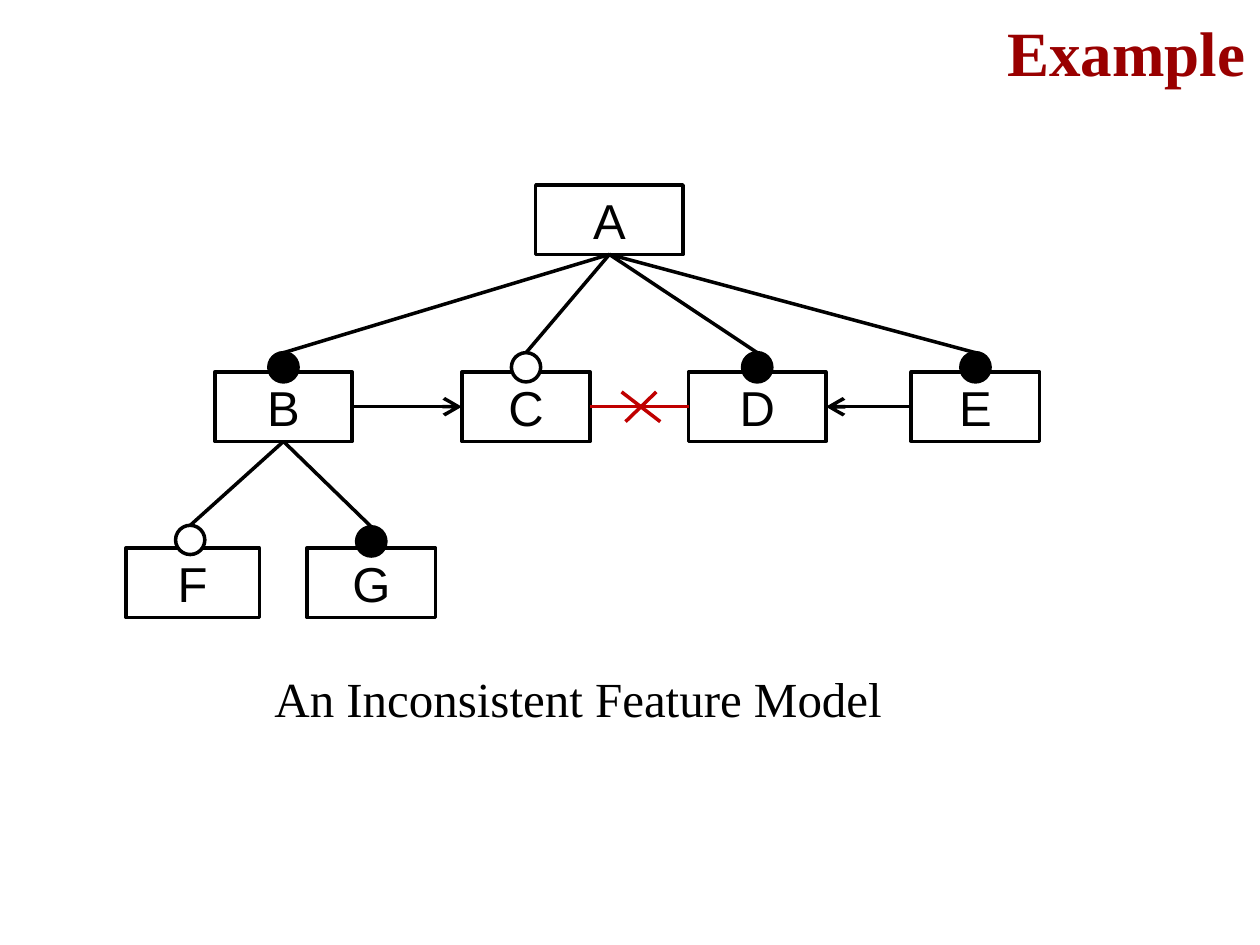
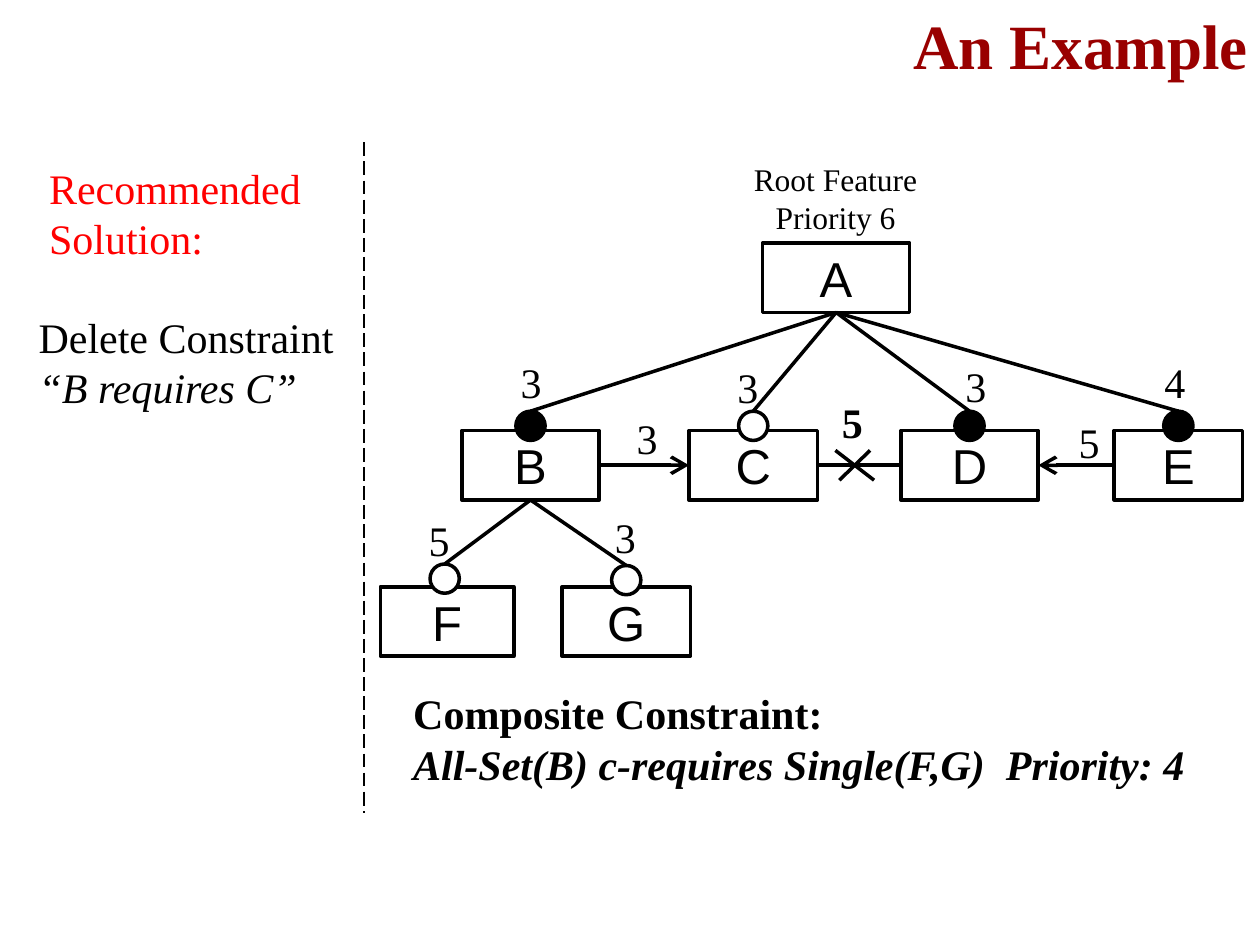
from dataclasses import dataclass

from lxml import etree
from pptx import Presentation
from pptx.dml.color import RGBColor
from pptx.enum.dml import MSO_LINE
from pptx.enum.shapes import MSO_CONNECTOR, MSO_SHAPE
from pptx.enum.text import MSO_ANCHOR, PP_ALIGN
from pptx.oxml.ns import qn
from pptx.util import Cm, Pt

RECT = MSO_SHAPE.RECTANGLE
OVAL = MSO_SHAPE.OVAL
LINE = MSO_CONNECTOR.STRAIGHT
DASH = MSO_LINE.LONG_DASH
LEFT, MID, RIGHT = PP_ALIGN.LEFT, PP_ALIGN.CENTER, PP_ALIGN.RIGHT
TOP, CENTER, BASE = MSO_ANCHOR.TOP, MSO_ANCHOR.MIDDLE, MSO_ANCHOR.BOTTOM
NORTH, WEST, SOUTH, EAST = range(4)


@dataclass(frozen=True)
class Theme:
    serif: str = "Times New Roman"
    sans: str = "Arial"
    black: str = "000000"
    white: str = "FFFFFF"
    title: str = "990000"
    clash: str = "C00000"
    alert: str = "FF0000"
    head: int = 36
    large: int = 28
    body: int = 24
    small: int = 18
    stroke: int = 2
    thin: int = 1


THEME = Theme()
HEIGHT = 1.4
DOT = 0.59
WIDTHS = {"A": 2.97, "B": 2.77, "C": 2.59, "D": 2.77, "E": 2.59, "F": 2.69, "G": 2.59}
RISES = {"B": 0.39, "C": 0.39, "D": 0.39, "E": 0.39, "F": 0.46, "G": 0.43}
NUDGES = {"F": -0.05}
TREE = {"A": "DCBE", "B": "FG"}
NEEDS = ["BC", "ED"]


def rgb(color):
    return RGBColor.from_string(color)


def write(frame, lines, align, anchor, color, **base):
    frame.word_wrap = True
    frame.vertical_anchor = anchor
    for n, (text, extra) in enumerate(lines):
        para = frame.paragraphs[0] if n == 0 else frame.add_paragraph()
        para.alignment = align
        run = para.add_run()
        run.text = text
        run.font.color.rgb = rgb(color)
        for key, value in {**base, **extra}.items():
            setattr(run.font, key, value)


def add_text(slide, place, lines, size, align=LEFT, anchor=TOP, color=THEME.black, **base):
    box = slide.shapes.add_textbox(*map(Cm, place))
    write(box.text_frame, lines, align, anchor, color, name=THEME.serif, size=Pt(size), **base)


def add_title(slide, text, place):
    add_text(slide, place, [(text, {})], THEME.head, RIGHT, BASE, THEME.title, bold=True)


def add_form(slide, kind, place, fill=None):
    form = slide.shapes.add_shape(kind, *map(Cm, place))
    form.shadow.inherit = False
    if fill:
        form.fill.solid()
        form.fill.fore_color.rgb = rgb(fill)
    else:
        form.fill.background()
    form.line.color.rgb = rgb(THEME.black)
    form.line.width = Pt(THEME.stroke)
    return form


def add_box(slide, name, left, top):
    box = add_form(slide, RECT, (left, top, WIDTHS[name], HEIGHT))
    write(box.text_frame, [(name, {})], MID, CENTER, THEME.black,
          name=THEME.sans, size=Pt(THEME.large))
    return box


def add_dot(slide, name, left, top, fill):
    mid = left + WIDTHS[name] / 2 + NUDGES.get(name, 0)
    return add_form(slide, OVAL, (mid - DOT / 2, top - RISES[name], DOT, DOT), fill)


def add_line(slide, ends=(0, 0, 0, 0), color=THEME.black, width=THEME.stroke,
             dash=None, arrow=False):
    line = slide.shapes.add_connector(LINE, *map(Cm, ends))
    line.line.color.rgb = rgb(color)
    line.line.width = Pt(width)
    if dash:
        line.line.dash_style = dash
    if arrow:
        etree.SubElement(line.line._get_or_add_ln(), qn("a:tailEnd"),
                         type="arrow", w="lg", len="lg")
    etree.SubElement(line._element.spPr, qn("a:effectLst"))
    return line


def join(slide, start, side, end, goal, **look):
    line = add_line(slide, **look)
    line.begin_connect(start, side)
    line.end_connect(end, goal)


def add_cross(slide, x, y, color):
    for wide, high in [(0.39, 0.3), (0.31, -0.3)]:
        add_line(slide, (x - wide, y - high, x + wide, y + high), color)


def add_model(slide, spots, hollow, color, shift):
    boxes = {name: add_box(slide, name, *spot) for name, spot in spots.items()}
    dots = {name: add_dot(slide, name, *spots[name],
                          THEME.white if name in hollow else THEME.black)
            for name in RISES}
    for root, kids in TREE.items():
        for kid in kids:
            join(slide, boxes[root], SOUTH, dots[kid], NORTH)
    for start, end in NEEDS:
        sides = (EAST, WEST) if start < end else (WEST, EAST)
        join(slide, boxes[start], sides[0], boxes[end], sides[1], arrow=True)
    edge = spots["C"][0] + WIDTHS["C"]
    add_cross(slide, (edge + spots["D"][0]) / 2 + shift, spots["C"][1] + HEIGHT / 2, color)
    join(slide, boxes["C"], EAST, boxes["D"], WEST, color=color)


def place(root, row, low):
    spots = {"A": root}
    for names, (top, lefts) in (("BCDE", row), ("FG", low)):
        spots.update({name: (left, top) for name, left in zip(names, lefts)})
    return spots


def draw_clash(slide):
    add_title(slide, "Example", (5.97, 0.13, 19.38, 1.8))
    spots = place((10.8, 3.73), (7.5, (4.33, 9.31, 13.88, 18.37)), (11.05, (2.54, 6.19)))
    add_model(slide, spots, "CF", THEME.clash, 0.03)
    add_text(slide, (5, 13.36, 13.31, 1.45), [("An Inconsistent Feature Model", {})],
             THEME.large, MID)


def draw_fix(slide):
    add_title(slide, "An Example", (8.59, 0, 16.81, 1.78))
    spots = place((15.37, 4.9), (8.68, (9.31, 13.89, 18.16, 22.46)), (11.83, (7.67, 11.33)))
    add_model(slide, spots, "CFG", THEME.black, -0.09)
    add_text(slide, (8.08, 13.74, 17.15, 2.31),
             [("Composite Constraint:", {}),
              ("All-Set(B) c-requires Single(F,G)  Priority: 4", {"italic": True})],
             THEME.body, bold=True)
    add_text(slide, (14.76, 3.1, 4.17, 1.8), [("Root Feature", {}), ("Priority 6", {})],
             THEME.small, MID)
    ranks = [("3", 10.11, 7.06), ("3", 12.45, 8.2), ("3", 14.48, 7.16),
             ("3", 12.01, 10.19), ("5", 8.26, 10.24), ("5", 21.36, 8.28),
             ("4", 23.09, 7.06), ("3", 19.08, 7.14)]
    for rank, left, top in ranks:
        add_text(slide, (left, top, 1.19, 1.27), [(rank, {})], THEME.body, MID)
    add_text(slide, (16.59, 7.87, 1.19, 1.27), [("5", {})], THEME.body, MID, bold=True)
    add_line(slide, (7.34, 2.87, 7.34, 16.38), width=THEME.thin, dash=DASH)
    add_text(slide, (0.74, 3.15, 5.82, 2.31), [("Recommended Solution:", {})],
             THEME.body, color=THEME.alert)
    add_text(slide, (0.53, 6.15, 6.5, 2.31),
             [("Delete Constraint", {}), ("“B requires C”", {"italic": True})], THEME.body)


def main():
    deck = Presentation()
    deck.slide_width, deck.slide_height = Cm(25.4), Cm(19.05)
    for draw in (draw_clash, draw_fix):
        draw(deck.slides.add_slide(deck.slide_layouts[6]))
    deck.save("out.pptx")


if __name__ == "__main__":
    main()
